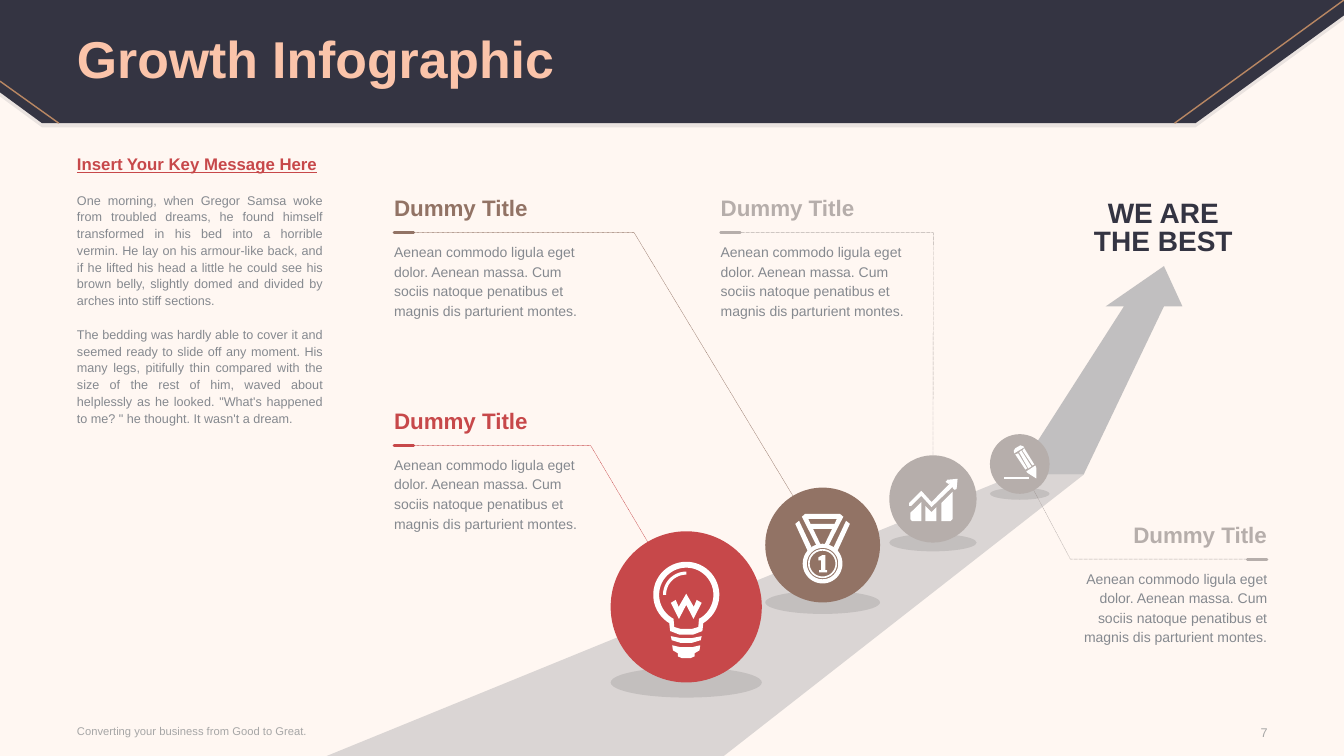
from math import cos, radians, sin

from lxml import etree
from pptx import Presentation
from pptx.dml.color import RGBColor
from pptx.enum.dml import MSO_LINE as Dash
from pptx.enum.shapes import MSO_CONNECTOR as Conn, MSO_SHAPE as Shape
from pptx.enum.text import MSO_ANCHOR as Anchor, PP_ALIGN as Align
from pptx.oxml.ns import qn
from pptx.util import Pt

WIDE, HIGH = 960, 540
NAVY, PEACH, GOLD = "343442", "FBC4AA", "B98763"
RED, BROWN, TAUPE = "C7484A", "927365", "B6AEAB"
GREY, PALE, WHITE = "85898F", "A6A6A6", "FFFFFF"
LOREM = ("Aenean commodo ligula eget dolor. Aenean massa. Cum sociis natoque "
         "penatibus et magnis dis parturient montes.")
STORY = [
    "One morning, when Gregor Samsa woke from troubled dreams, he found himself "
    "transformed in his bed into a horrible vermin. He lay on his armour-like back, "
    "and if he lifted his head a little he could see his brown belly, slightly domed "
    "and divided by arches into stiff sections.",
    "The bedding was hardly able to cover it and seemed ready to slide off any moment. "
    "His many legs, pitifully thin compared with the size of the rest of him, waved "
    "about helplessly as he looked. \"What's happened to me? \" he thought. "
    "It wasn't a dream."]


def hue(code):
    return RGBColor.from_string(code)


def put(obj, vals):
    for key, val in vals.items():
        setattr(obj, key, val)


def paint(shape, code, alpha=100):
    shape.shadow.inherit = False
    shape.line.fill.background()
    shape.fill.solid()
    shape.fill.fore_color.rgb = hue(code)
    if alpha < 100:
        tint = shape.fill._xPr.find(".//" + qn("a:srgbClr"))
        etree.SubElement(tint, qn("a:alpha"), val=str(alpha * 1000))


def trace(slide, loops, close=True):
    """Outline of one or more loops of points; inner loops become holes."""
    pen = None
    for loop in loops:
        (x, y), *rest = [(Pt(a), Pt(b)) for a, b in loop]
        if pen is None:
            pen = slide.shapes.build_freeform(x, y)
        else:
            pen.move_to(x, y)
        pen.add_line_segments(rest, close=close)
    return pen.convert_to_shape()


def rule(slide, start, end, code, width, cap="flat"):
    line = slide.shapes.add_connector(Conn.STRAIGHT, *map(Pt, start + end))
    line.line.color.rgb = hue(code)
    line.line.width = Pt(width)
    line.line._ln.set("cap", cap)
    etree.SubElement(line._element.spPr, qn("a:effectLst"))


def write(slide, box, lines, font, para={}, anchor=Anchor.TOP):
    frame = slide.shapes.add_textbox(*map(Pt, box)).text_frame
    put(frame, dict(word_wrap=True, vertical_anchor=anchor, margin_left=0,
                    margin_right=0, margin_top=0, margin_bottom=0))
    for i, text in enumerate(lines):
        par = frame.paragraphs[0] if i == 0 else frame.add_paragraph()
        par.text = text
        put(par, para)
        style(par, **font)
    return frame


def style(par, size, code, **more):
    put(par.font, dict(name="Arial", size=Pt(size), **more))
    par.font.color.rgb = hue(code)


def header(slide, wide, high):
    left, right = 30, wide - 106
    edge = [(right, high), (left, high), (0, high - 22), (0, 0), (wide, 0), (wide, 11)]
    paint(trace(slide, [[(x, y + 3) for x, y in edge]]), NAVY, 10)
    paint(trace(slide, [edge]), NAVY)
    rule(slide, (wide, 0), (wide - 121, high), GOLD, 1)
    rule(slide, (42, high), (0, high - 30), GOLD, 1)
    write(slide, (55, 2, 850, 84), ["Growth Infographic"],
          dict(size=37, code=PEACH, bold=True), dict(line_spacing=0.9), Anchor.MIDDLE)


def story(slide, x, y, w, h):
    frame = write(slide, (x, y, w, h), ["Insert Your Key Message Here"] + STORY,
                  dict(size=9, code=GREY),
                  dict(alignment=Align.JUSTIFY, line_spacing=Pt(12)))
    head, *rest = frame.paragraphs
    style(head, 12, RED, bold=True, underline=True)
    for par in rest:
        par.space_before = Pt(12)


def footer(slide, y):
    font = dict(code=PALE)
    write(slide, (55, y, 376, 19), ["Converting your business from Good to Great."],
          dict(size=8, **font), anchor=Anchor.MIDDLE)
    write(slide, (860, y + 0.5, 45.5, 19), ["7"], dict(size=9, **font),
          dict(alignment=Align.RIGHT), Anchor.MIDDLE)


def road(slide):
    left, right, top = (725.8, 339.1), (774, 339.1), 218.9
    paint(trace(slide, [[(233.3, HIGH), (517, HIGH), right, left]]), GREY, 30)
    paint(trace(slide, [[(844.6, top), (831.4, 190.1), (789.8, top), (802.8, top),
                         left, right, (831.4, top)]]), GREY, 50)


def label(slide, x, y, code, side, w=139):
    line = y + 27.2
    tick = x if side == Align.LEFT else x + w - 14
    write(slide, (x, y + 33, w, 57), [LOREM], dict(size=10, code=GREY),
          dict(alignment=side, line_spacing=Pt(14)))
    rule(slide, (tick, line), (tick + 14, line), code, 2, "rnd")
    write(slide, (x, y, w, 19.5), ["Dummy Title"], dict(size=16, code=code, bold=True),
          dict(alignment=side))


def leader(slide, x, y, code, side, bend, goal, w=139):
    line = y + 27.2
    start = x + 13 if side == Align.LEFT else x + w - 10
    shape = trace(slide, [[(start, line), (bend, line), goal]], False)
    shape.shadow.inherit = False
    shape.fill.background()
    shape.line.color.rgb = hue(code)
    put(shape.line, dict(width=Pt(0.25), dash_style=Dash.ROUND_DOT))


def ball(slide, cx, cy, r, code, icon):
    """Disc with a flat shadow below it and an icon drawn about its centre."""
    for mid, tall, tone, alpha in ((cy + r, 0.2 * r, "000000", 10), (cy, r, code, 100)):
        disc = slide.shapes.add_shape(
            Shape.OVAL, *map(Pt, (cx - r, mid - tall, 2 * r, 2 * tall)))
        paint(disc, tone, alpha)
    for loops in icon:
        paint(trace(slide, [[(cx + x, cy + y) for x, y in loop] for loop in loops]), WHITE)


def arc(y, r, start=0, end=360, x=0):
    turns = [radians(start + (end - start) * i / 48) for i in range(49)]
    return [(x + r * cos(t), y + r * sin(t)) for t in turns]


def flip(half):
    return [(-x, y) for x, y in half]


def pair(half):
    """Closed loop from its left half, listed top to bottom."""
    return half + flip(half)[::-1]


BULB = [
    [arc(-8.6, 23.6, 121, 419) + [(11.5, 17.3), (5, 19.8), (-5, 19.8), (-11.5, 17.3)],
     arc(-8.6, 19.4, 118, 422) + [(8.6, 14.4), (4, 15.8), (-4, 15.8), (-8.6, 14.4)]],
    [arc(-8.6, 16.6, 180, 270) + arc(-8.6, 14.4, 270, 180)],
    [pair([(0, -9.4), (-5.4, 0), (-7.5, -5), (-11, -2.9), (-5.2, 8.6), (0, -1.4)])],
    [pair([(-4, 22.3), (-11, 20.9), (-10.4, 23.8), (-4, 25.7)])],
    [pair([(-4, 28.8), (-10, 27.4), (-9.5, 31), (-6, 33.1), (-6, 35.3), (-3, 36.6)])]]
BAND = [(-19.5, -15.1), (-16.8, -17.3), (-8, 1.4), (-10.5, 4.5)]
MEDAL = [
    [arc(13.3, r) for r in (14.2, 11.2, 10.4, 9.2)],
    [[(1.9, 7.2), (-0.2, 7.2), (-3, 8.8), (-3, 10.9), (-1, 10.9), (-1, 18), (-2.5, 18),
      (-2.5, 19.6), (3.2, 19.6), (3.2, 18), (1.9, 18)]],
    [pair([(-12.4, -22.3), (-14.8, -20.2), (-4.5, 0)]),
     pair([(-10.2, -18.7), (-8.6, -15.1)]), pair([(-6.8, -11.5), (-1.6, -0.7)])],
    [BAND], [flip(BAND)]]
CHART = [
    [[(10.4, -13.7), (9, -12.2), (11, -10.8), (12.6, -11.5), (-1, 2.2), (-8.3, -5.8),
      (-17, 2.9), (-17, 5), (-15.5, 5), (-8.3, -2.2), (-1, 5.8), (14.8, -9.4),
      (14, -7.9), (15.5, -6.5), (16.9, -7.2), (17.6, -14.4)]],
    [[(-5.4, 5), (-5.4, 15.8), (2.5, 15.8), (2.5, 5.8), (-1, 9.4)]],
    [[(-16.2, 14.4), (-15, 15.8), (-8.3, 15.8), (-8.3, 2.2), (-16.2, 10)]],
    [[(6.1, 2.9), (6.1, 15.8), (12.6, 15.8), (14, 14.4), (14, -5)]]]
PENCIL = [
    [[(5.4, 6.3), (11.9, 10.4), (11.9, 3), (11.2, 1.1), (4.7, 5.4)]],
    [[(9, 1.1), (10.4, 0.4), (3.2, -11.2), (1.8, -9.7)]],
    [[(8.3, 1.8), (1.1, -9.7), (-0.4, -8.3), (6.1, 3.2)]],
    [[(-3.2, -6.8), (4, 4), (5.4, 3.2), (-1.1, -7.6)]],
    [[(-4, -7.6), (3.2, -11.9), (2.5, -12.6), (0.4, -13.3), (-3.2, -11.2), (-4.3, -9.4)]],
    [[(-11.2, 9), (6.8, 9), (6.8, 10.4), (-11.2, 10.4)]]]

# label x, y, colour, side, leader bend; ball centre x, y, radius, icon
STEPS = [
    (281.5, 291, RED, Align.LEFT, 421.9, 490.2, 433.5, 54, BULB),
    (281.5, 139, BROWN, Align.LEFT, 453, 587.6, 389.3, 41, MEDAL),
    (514.8, 139, TAUPE, Align.LEFT, 666.7, 666.4, 356.4, 31.2, CHART),
    (766, 372.2, TAUPE, Align.RIGHT, 764.6, 728.4, 331.4, 21.3, PENCIL)]


def growth(slide):
    road(slide)
    for x, y, code, side, bend, cx, cy, r, icon in STEPS:
        leader(slide, x, y, code, side, bend, (cx, cy))
    for x, y, code, side, bend, cx, cy, r, icon in STEPS:
        ball(slide, cx, cy, r, code, icon)
        label(slide, x, y, code, side)
    write(slide, (761.5, 143.5, 139, 40), ["WE ARE", "THE BEST"],
          dict(size=20, code=NAVY, bold=True),
          dict(alignment=Align.CENTER, line_spacing=Pt(20)))


def main():
    deck = Presentation()
    put(deck, dict(slide_width=Pt(WIDE), slide_height=Pt(HIGH)))
    slide = deck.slides.add_slide(deck.slide_layouts[6])
    slide.background.fill.solid()
    slide.background.fill.fore_color.rgb = hue("FFF7F2")
    header(slide, WIDE, 88)
    story(slide, 55, 112.3, 175.5, 374)
    footer(slide, 513)
    growth(slide)
    deck.save("out.pptx")


if __name__ == "__main__":
    main()
